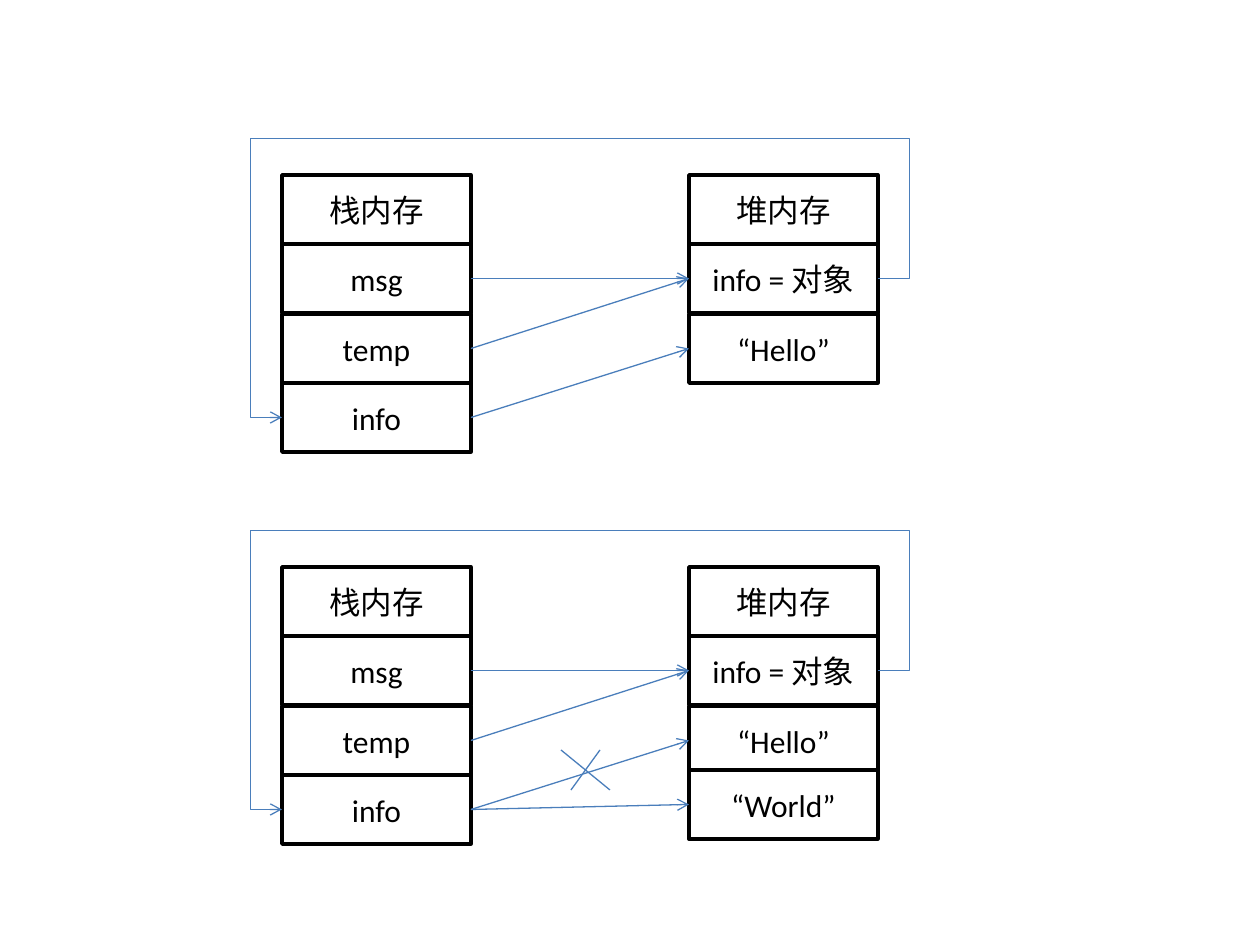
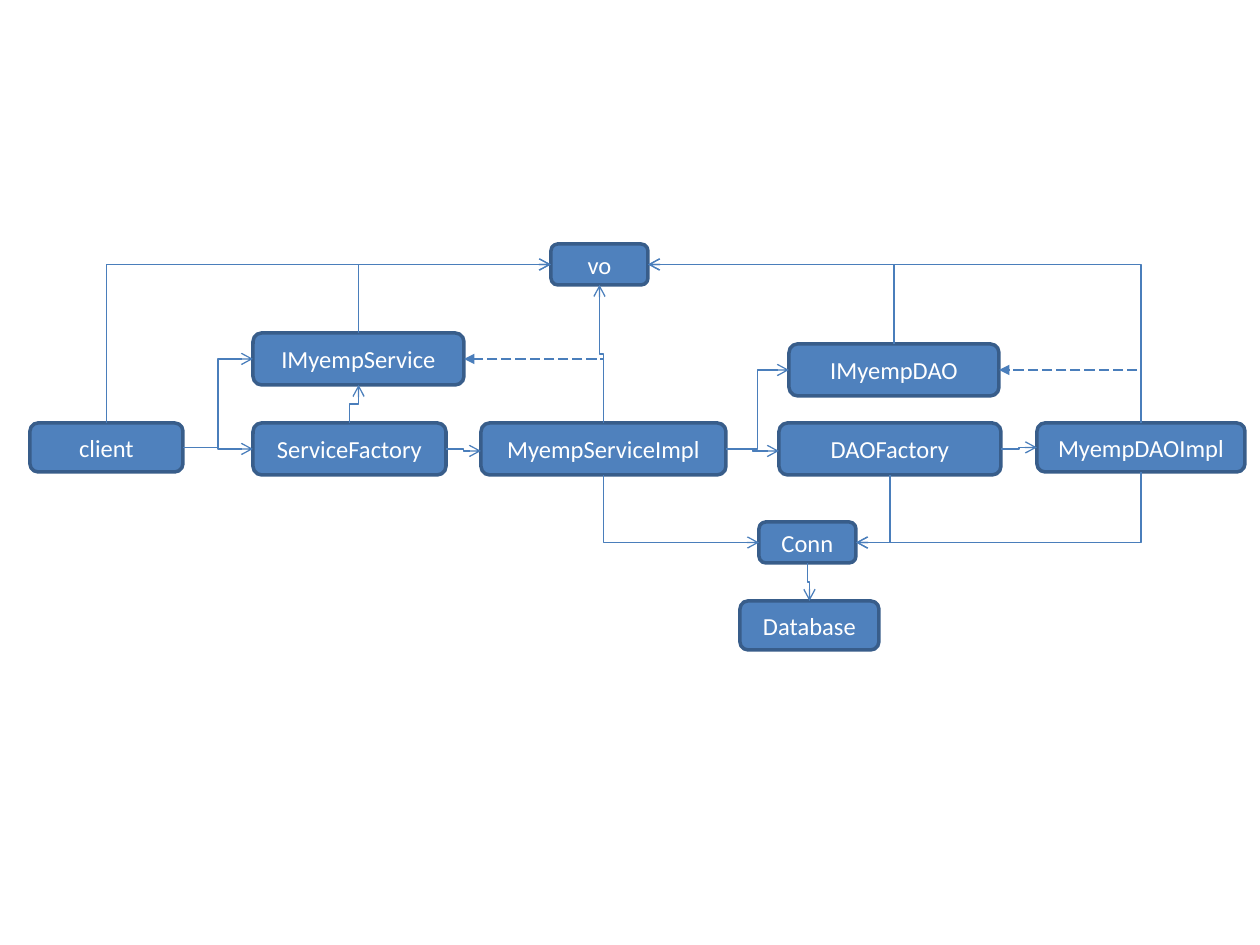
"""Builds two slides: stack and heap memory states, and a service/DAO class diagram."""
import lxml.etree
import pptx
import pptx.dml.color
import pptx.enum.dml
import pptx.enum.shapes
import pptx.enum.text
import pptx.oxml.ns
import pptx.util

PX = 914400 // 126
WHITE = pptx.dml.color.RGBColor(0xFF, 0xFF, 0xFF)
BLACK = pptx.dml.color.RGBColor(0, 0, 0)
BLUE = pptx.dml.color.RGBColor(0x4F, 0x81, 0xBD)
DARK_BLUE = pptx.dml.color.RGBColor(0x38, 0x5D, 0x8A)
LINE_BLUE = pptx.dml.color.RGBColor(0x4A, 0x7E, 0xBB)
RECT = pptx.enum.shapes.MSO_SHAPE.RECTANGLE
ROUNDED = pptx.enum.shapes.MSO_SHAPE.ROUNDED_RECTANGLE
STRAIGHT = pptx.enum.shapes.MSO_CONNECTOR.STRAIGHT
DASH = pptx.enum.dml.MSO_LINE.LONG_DASH
TOP, LEFT, BOTTOM, RIGHT = range(4)
qn = pptx.oxml.ns.qn


def box(s, text, x, y, w, h, *, shape=RECT, fill=WHITE, line=BLACK, color=BLACK, size=18):
    sp = s.shapes.add_shape(shape, x * PX, y * PX, w * PX, h * PX)
    sp.shadow.inherit = False
    sp.fill.solid()
    sp.fill.fore_color.rgb = fill
    sp.line.color.rgb = line
    sp.line.width = pptx.util.Pt(2)
    tf = sp.text_frame
    tf.word_wrap = True
    tf.vertical_anchor = pptx.enum.text.MSO_ANCHOR.MIDDLE
    p = tf.paragraphs[0]
    p.alignment = pptx.enum.text.PP_ALIGN.CENTER
    r = p.add_run()
    r.text = text
    r.font.name = "Calibri"
    r.font.size = pptx.util.Pt(size)
    r.font.color.rgb = color
    return sp


def link(s, a, start, b, end, *, bend=0, adjust=(), head="arrow", dash=None, drop=0):
    ends = []
    for sp, side in ((a, start), (b, end)):
        ends.append(sp.left + (sp.width // 2, 0, sp.width // 2, sp.width)[side])
        ends.append(sp.top + (0, sp.height // 2, sp.height, sp.height // 2)[side])
    x1, y1, x2, y2 = ends
    y2 += drop * PX
    c = s.shapes.add_connector(STRAIGHT, x1, y1, x2, y2)
    c.begin_connect(a, start)
    c.end_connect(b, end)
    if dash:
        c.line.dash_style = dash
    lxml.etree.SubElement(c.get_or_add_ln(), qn("a:tailEnd"), type=head)
    if bend:
        dx, dy = x2 - x1, y2 - y1
        w, h = abs(dx), abs(dy)
        turn, flip_h, flip_v = 0, dx < 0, dy < 0
        if start in (TOP, BOTTOM):
            w, h = h, w
            turn = 90 if dx * dy < 0 else 270
            flip_h = (turn == 90) == flip_v
        c.left, c.top = (x1 + x2 - w) // 2, (y1 + y2 - h) // 2
        c.width, c.height = w, h
        xfrm = c.element.spPr.find(qn("a:xfrm"))
        xfrm.set("rot", str(turn * 60000))
        xfrm.set("flipH", str(int(flip_h)))
        xfrm.set("flipV", str(int(flip_v)))
        geom = c.element.spPr.find(qn("a:prstGeom"))
        geom.set("prst", f"bentConnector{bend}")
        for i, value in enumerate(adjust, 1):
            lxml.etree.SubElement(geom.find(qn("a:avLst")), qn("a:gd"), name=f"adj{i}", fmla=f"val {value}")


prs = pptx.Presentation()
prs.slide_width = pptx.util.Inches(10)
prs.slide_height = pptx.util.Inches(7.5)
blank = prs.slide_layouts[6]

s = prs.slides.add_slide(blank)
for top in (175, 567):
    title, msg, temp, info = [
        box(s, text, 282, top + i * 139 // 2, 189, 69)
        for i, text in enumerate(("栈内存", "msg", "temp", "info"))
    ]
    heap, obj, hello = [
        box(s, text, 689, top + i * 139 // 2, 189, 69)
        for i, text in enumerate(("堆内存", "info = 对象", "“Hello”"))
    ]
    for source, target in ((msg, obj), (temp, obj), (info, hello)):
        link(s, source, RIGHT, target, LEFT)
    link(s, obj, RIGHT, info, LEFT, bend=5, adjust=(-5300, -100800, 105300))

world = box(s, "“World”", 689, 770, 189, 69)
link(s, info, RIGHT, world, LEFT)
for x1, x2 in ((561, 610), (600, 571)):
    s.shapes.add_connector(STRAIGHT, x1 * PX, 750 * PX, x2 * PX, 790 * PX)

s = prs.slides.add_slide(blank)
client, factory, service, service_impl, conn, dao_factory, dao_impl, dao, database, vo = [
    box(s, *row, shape=ROUNDED, fill=BLUE, line=DARK_BLUE, color=WHITE, size=14)
    for row in (
        ("client", 30, 423, 153, 49),
        ("ServiceFactory", 253, 423, 193, 52),
        ("IMyempService", 253, 333, 211, 52),
        ("MyempServiceImpl", 481, 423, 245, 52),
        ("Conn", 759, 522, 97, 41),
        ("DAOFactory", 779, 423, 222, 52),
        ("MyempDAOImpl", 1037, 423, 208, 49),
        ("IMyempDAO", 789, 344, 210, 52),
        ("Database", 740, 601, 139, 49),
        ("vo", 551, 244, 97, 41),
    )
]
for a, start, b, end in (
    (client, RIGHT, factory, LEFT),
    (client, RIGHT, service, LEFT),
    (factory, TOP, service, BOTTOM),
    (dao_factory, RIGHT, dao_impl, LEFT),
    (service_impl, RIGHT, dao, LEFT),
    (service_impl, TOP, vo, BOTTOM),
    (conn, BOTTOM, database, TOP),
):
    link(s, a, start, b, end, bend=3)
for a, b in ((factory, service_impl), (service_impl, dao_factory)):
    link(s, a, RIGHT, b, LEFT, bend=3, drop=2)
for a, start, b, end in (
    (client, TOP, vo, LEFT),
    (service, TOP, vo, LEFT),
    (dao, TOP, vo, RIGHT),
    (dao_impl, TOP, vo, RIGHT),
    (service_impl, BOTTOM, conn, LEFT),
    (dao_factory, BOTTOM, conn, RIGHT),
    (dao_impl, BOTTOM, conn, RIGHT),
):
    link(s, a, start, b, end, bend=2)
for a, b in ((service_impl, service), (dao_impl, dao)):
    link(s, a, TOP, b, RIGHT, bend=2, head="triangle", dash=DASH)

for s in prs.slides:
    for c in s.shapes:
        if c.shape_type == pptx.enum.shapes.MSO_SHAPE_TYPE.LINE:
            c.line.color.rgb = LINE_BLUE
            c.line.width = pptx.util.Pt(0.75)
            lxml.etree.SubElement(c.element.spPr, qn("a:effectLst"))

prs.save("out.pptx")
